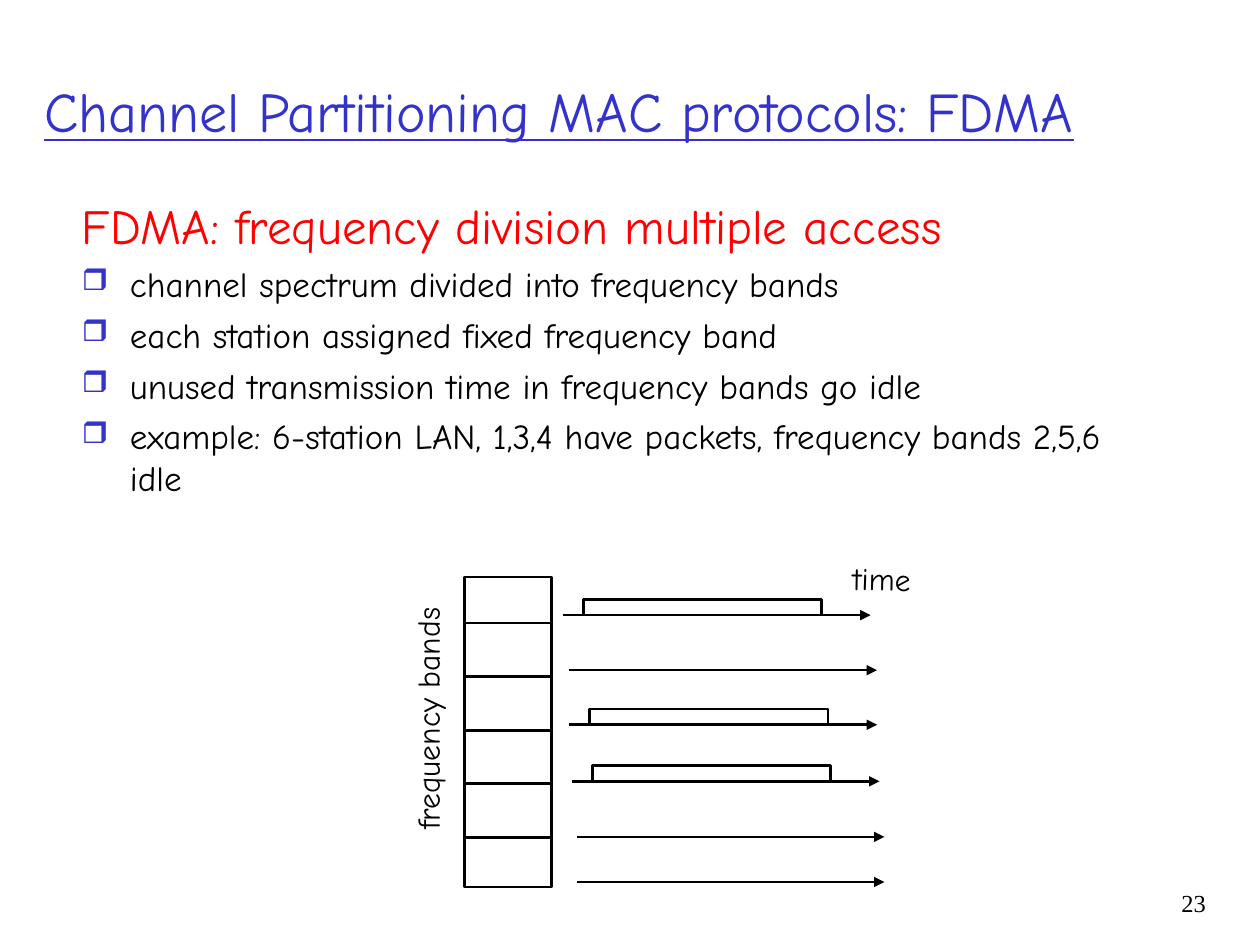
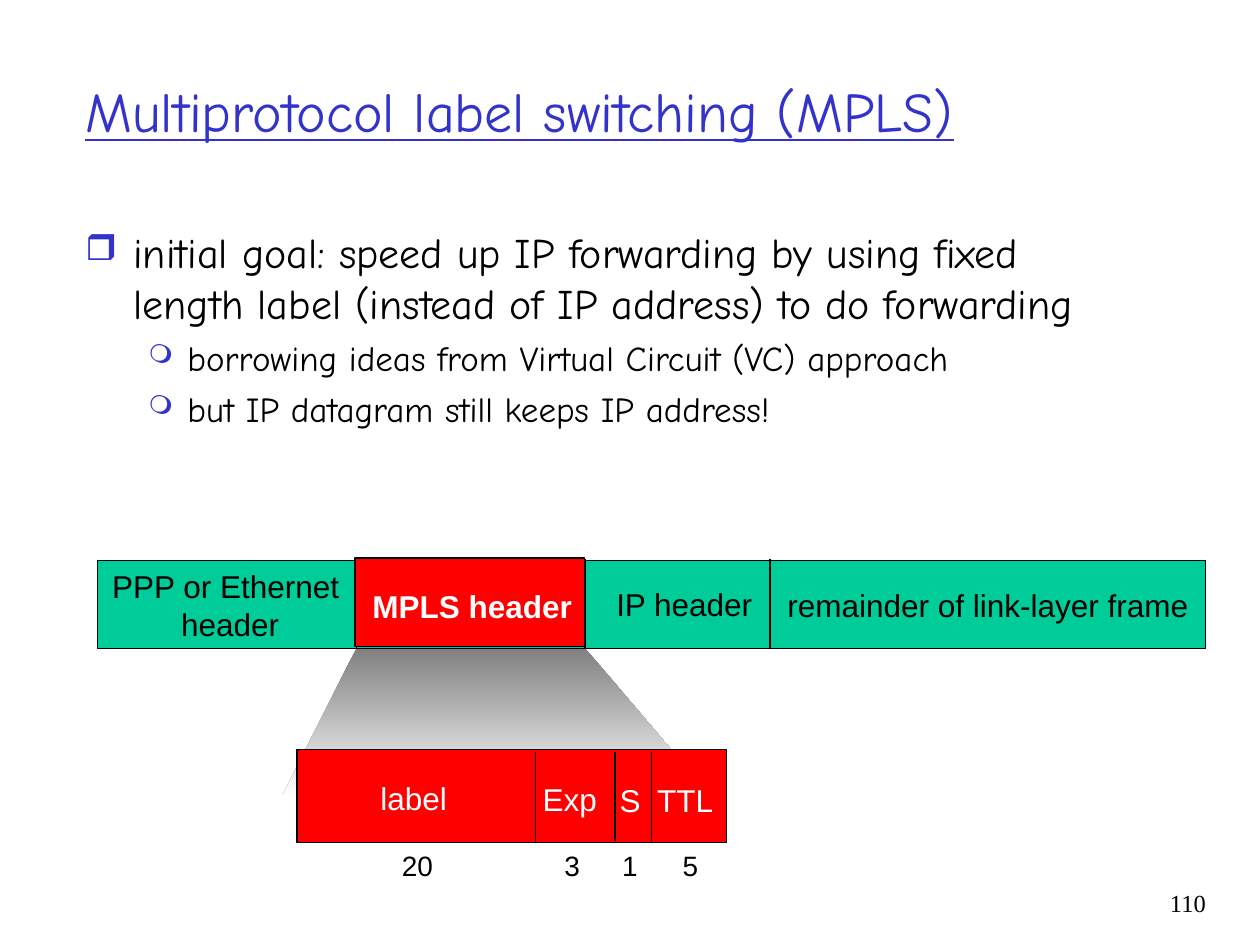
from pptx import Presentation
from pptx.dml.color import RGBColor
from pptx.enum.shapes import MSO_CONNECTOR, MSO_SHAPE
from pptx.enum.text import MSO_ANCHOR, MSO_AUTO_SIZE, PP_ALIGN
from pptx.oxml.ns import qn
from pptx.util import Cm, Pt
from lxml import etree

LEFT, CENTER, RIGHT = PP_ALIGN.LEFT, PP_ALIGN.CENTER, PP_ALIGN.RIGHT
MIDDLE = MSO_ANCHOR.MIDDLE
FIT = MSO_AUTO_SIZE.SHAPE_TO_FIT_TEXT
RECTANGLE = MSO_SHAPE.RECTANGLE
STRAIGHT = MSO_CONNECTOR.STRAIGHT

COLORS = {
    "blue": "3333CC",
    "red": "FF0000",
    "green": "00CC99",
    "gray": "808080",
    "black": "000000",
    "white": "FFFFFF",
}
HAND, SANS, SERIF = "Comic Neue", "Arial", "Times New Roman"
SQUARE, CIRCLE = ("❒", 85, 0.97, 0.97), ("❍", 75, 2.06, 0.79)


def color(name):
    return RGBColor.from_string(COLORS[name])


def style(paragraph, size, face, ink="black", bold=False, underline=False):
    font = paragraph.font
    font.size, font.name, font.bold = Pt(size), face, bold
    font.underline = underline
    font.color.rgb = color(ink)


def add_text(slide, box, text, size, face, ink="black", align=LEFT,
             wrap=False, bold=False, underline=False):
    holder = slide.shapes.add_textbox(*map(Cm, box))
    frame = holder.text_frame
    frame.word_wrap = wrap
    if not wrap:
        frame.auto_size = FIT
    frame.text = text
    for paragraph in frame.paragraphs:
        paragraph.alignment = align
        style(paragraph, size, face, ink, bold, underline)
    return holder


def add_line(slide, x1, y1, x2, y2, width, arrow=False):
    line = slide.shapes.add_connector(STRAIGHT, Cm(x1), Cm(y1), Cm(x2), Cm(y2))
    line.line.color.rgb = color("black")
    line.line.width = Pt(width)
    if arrow:
        etree.SubElement(line.line._get_or_add_ln(), qn("a:tailEnd"), type="triangle")
    etree.SubElement(line._element.spPr, qn("a:effectLst"))


def add_box(slide, box, fill, width):
    rectangle = slide.shapes.add_shape(RECTANGLE, *map(Cm, box))
    rectangle.shadow.inherit = False
    rectangle.fill.solid()
    rectangle.fill.fore_color.rgb = color(fill)
    rectangle.line.color.rgb = color("black")
    rectangle.line.width = Pt(width)


def add_outline(slide, points, close):
    corners = [(Cm(x), Cm(y)) for x, y in points]
    builder = slide.shapes.build_freeform(*corners[0])
    builder.add_line_segments(corners[1:], close=close)
    outline = builder.convert_to_shape()
    outline.shadow.inherit = False
    return outline


def add_title(slide, left, width, text):
    title = add_text(slide, (left, 0.64, width, 3.18), text, 32, HAND, "blue",
                     wrap=True, underline=True)
    title.text_frame.vertical_anchor = MIDDLE


def add_page_number(slide, number):
    add_text(slide, (22.68, 17.78, 1.88, 1.27), number, 14, SERIF,
             align=RIGHT, wrap=True)


def add_bullet(paragraph, bullet):
    symbol, percent, margin, hanging = bullet
    properties = paragraph._p.get_or_add_pPr()
    properties.set("marL", str(Cm(margin)))
    properties.set("indent", str(-Cm(hanging)))
    bullet_color = etree.SubElement(properties, qn("a:buClr"))
    etree.SubElement(bullet_color, qn("a:srgbClr"), val=COLORS["blue"])
    etree.SubElement(properties, qn("a:buSzPct"), val=str(percent * 1000))
    etree.SubElement(properties, qn("a:buChar"), char=symbol)


def add_body(slide, box, points):
    frame = slide.shapes.add_textbox(*map(Cm, box)).text_frame
    frame.word_wrap = True
    frame.text = "\n".join(point[0] for point in points)
    for paragraph, (_, size, ink, before, bullet) in zip(frame.paragraphs, points):
        paragraph.space_before = Pt(before)
        style(paragraph, size, HAND, ink)
        if bullet:
            add_bullet(paragraph, bullet)
            paragraph.level = 1 if bullet is CIRCLE else 0


def add_frequency_bands(slide, left, top):
    width, height, pitch = 1.75, 6.25, 1.08
    add_box(slide, (left, top, width, height), "white", 1.5)
    for band in range(5):
        y = top + 0.93 + band * pitch
        add_line(slide, left, y, left + width, y, 1.5)

    stations = [(1.98, 0.77, True), (2.11, 1.88, False), (2.11, 2.98, True),
                (2.16, 4.12, True), (2.26, 5.24, False), (2.26, 6.15, False)]
    for x, y, has_packets in stations:
        start, axis = left + x, top + y
        add_line(slide, start, axis, start + 6.2, axis, 1.5, arrow=True)
        if has_packets:
            rise, fall = start + 0.41, start + 5.21
            pulse = add_outline(slide, [(rise, axis), (rise, axis - 0.32),
                                        (fall, axis - 0.32), (fall, axis)], False)
            pulse.fill.background()
            pulse.line.color.rgb = color("black")
            pulse.line.width = Pt(1.5)

    bands_label = add_text(slide, (left - 3.25, top + 2.34, 5, 1.02),
                           "frequency bands", 18, HAND)
    bands_label.rotation = 270
    time_label = add_text(slide, (left + 7.57, top - 0.48, 1.68, 1.02),
                          "time", 18, HAND)
    time_label.rotation = 1.1


def add_zoom(slide, left, top):
    zoom = add_outline(slide, [(left + 1.5, top), (left, top + 2.99),
                               (left + 8.64, top + 2.99), (left + 6.1, top)], True)
    zoom.fill.gradient()
    zoom.fill.gradient_angle = 270
    for stop, (position, shade) in zip(zoom.fill.gradient_stops,
                                       [(0, "gray"), (1, "white")]):
        stop.position = position
        stop.color.rgb = color(shade)
    zoom.line.fill.background()


def add_link_frame(slide, left, top):
    height = 1.78
    add_box(slide, (left, top, 22.35, height), "green", 0.75)
    for x in (5.23, 9.83, 13.56):
        add_line(slide, left + x, top - 0.03, left + x, top + height, 0.75)
    add_box(slide, (left + 5.2, top - 0.05, 4.62, height), "red", 0.75)
    headers = [
        ("PPP or Ethernet \nheader", -0.07, 0, 5.5, 1.78, "black"),
        ("MPLS header", 5.06, 0.41, 5, 1.02, "white"),
        ("IP header", 10.11, 0.36, 3.45, 1.02, "black"),
        ("remainder of link-layer frame", 13.56, 0.38, 8.79, 1.02, "black"),
    ]
    for text, x, y, width, tall, ink in headers:
        add_text(slide, (left + x, top + y, width, tall), text, 18, SANS, ink,
                 CENTER, bold=ink == "white")


def add_mpls_fields(slide, left, top):
    height = 1.88
    add_box(slide, (left, top, 8.66, height), "red", 0.75)
    fields = [("label", 1.43, 0.46, 2, "20", 1.86, 1.4),
              ("Exp", 4.7, 0.48, 1.7, "3", 5.14, 0.9),
              ("S", 6.25, 0.51, 1, "1", 6.3, 0.9),
              ("TTL", 7.01, 0.51, 1.75, "5", 7.52, 0.9)]
    for name, x, y, width, bits, bits_x, bits_width in fields:
        add_text(slide, (left + x, top + y, width, 1.02), name, 18, SANS, "white")
        add_text(slide, (left + bits_x, top + height, bits_width, 0.94),
                 bits, 16, SANS)
    for x in (4.81, 6.41, 7.14):
        add_line(slide, left + x, top + 0.05, left + x, top + height - 0.03, 0.75)


def build_fdma(slide):
    add_title(slide, 0.64, 23.98, "Channel Partitioning MAC protocols: FDMA")
    facts = ["channel spectrum divided into frequency bands",
             "each station assigned fixed frequency band",
             "unused transmission time in frequency bands go idle",
             "example: 6-station LAN, 1,3,4 have packets, frequency bands 2,5,6 idle"]
    heading = ("FDMA: frequency division multiple access", 28, "red", 7, None)
    add_body(slide, (1.4, 3.81, 22.25, 7.09),
             [heading] + [(fact, 20, "black", 5, SQUARE) for fact in facts])
    add_frequency_bands(slide, 9.37, 11.63)
    add_page_number(slide, "23")


def build_mpls(slide):
    add_title(slide, 1.47, 21.59, "Multiprotocol label switching (MPLS)")
    add_body(slide, (1.47, 4.45, 21.59, 12.9), [
        ("initial goal: speed up IP forwarding by using fixed length label "
         "(instead of IP address) to do forwarding", 24, "black", 6, SQUARE),
        ("borrowing ideas from Virtual Circuit (VC) approach", 20, "black", 5, CIRCLE),
        ("but IP datagram still keeps IP address!", 20, "black", 5, CIRCLE),
    ])
    add_zoom(slide, 5.69, 13.06)
    add_link_frame(slide, 1.96, 11.3)
    add_mpls_fields(slide, 5.99, 15.11)
    add_page_number(slide, "110")


def main():
    deck = Presentation()
    deck.slide_width, deck.slide_height = Cm(25.4), Cm(19.05)
    for build in (build_fdma, build_mpls):
        build(deck.slides.add_slide(deck.slide_layouts[6]))
    deck.save("out.pptx")


if __name__ == "__main__":
    main()
